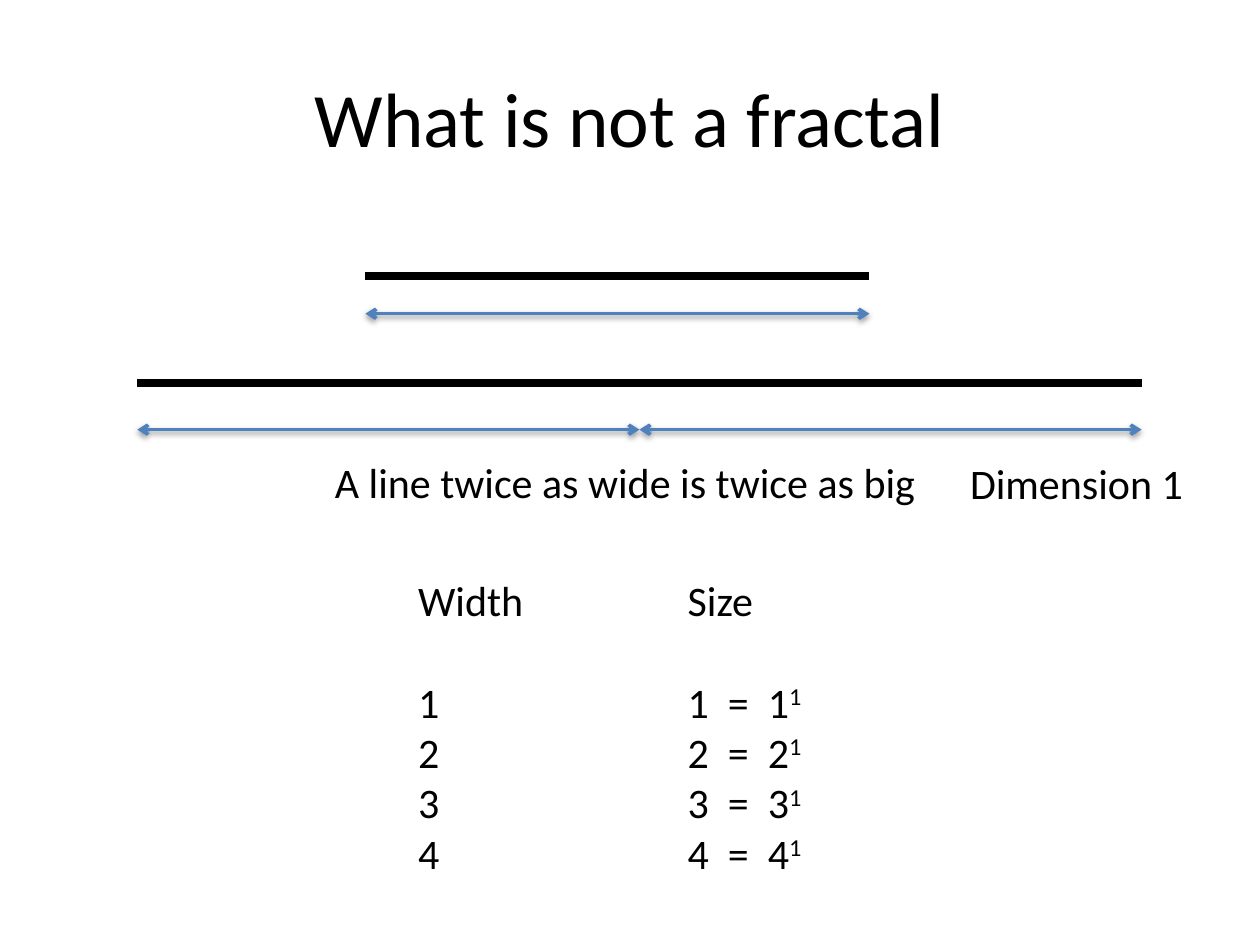
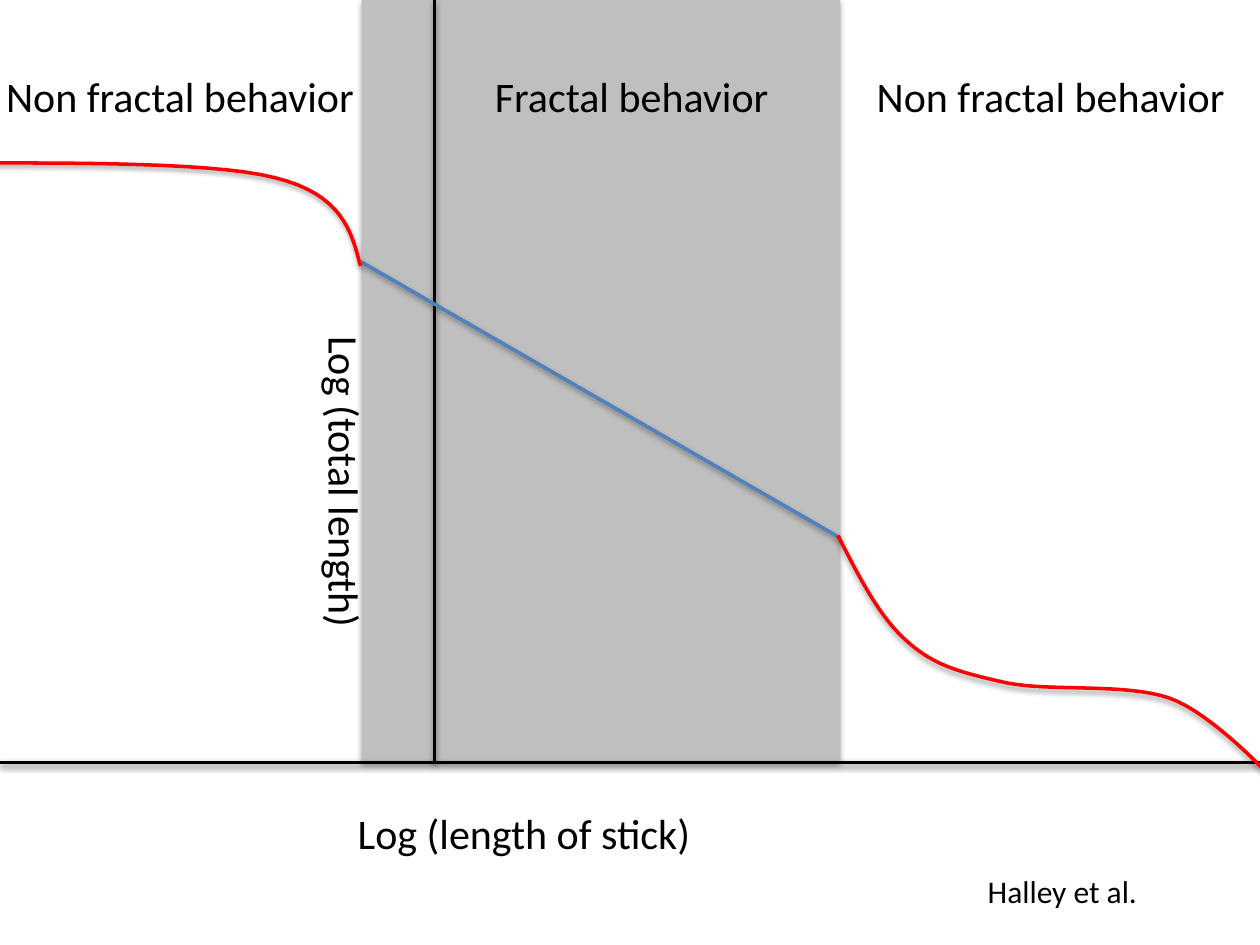
from lxml import etree
from pptx import Presentation
from pptx.dml.color import RGBColor
from pptx.enum import shapes, text
from pptx.oxml import ns
from pptx.util import Inches, Pt

BLACK = RGBColor(0x00, 0x00, 0x00)
BLUE = RGBColor(0x4F, 0x81, 0xBD)
RED = RGBColor(0xFF, 0x00, 0x00)
GREY = RGBColor(0xBF, 0xBF, 0xBF)
FONT = "Calibri"
BODY = 24
LEAD = 29.3  # height of one line of body text, in points


# Shared parts

def shade(shape, alpha=38, dist=1.6):
    """Give the shape a soft shadow below, or none if alpha is 0."""
    props = shape._element.spPr
    for old in props.findall(ns.qn("a:effectLst")):
        props.remove(old)
    effect = etree.SubElement(props, ns.qn("a:effectLst"))
    if alpha:
        cast = etree.SubElement(effect, ns.qn("a:outerShdw"), blurRad=str(Pt(3.1)),
                                dist=str(Pt(dist)), dir="5400000", rotWithShape="0")
        tint = etree.SubElement(cast, ns.qn("a:srgbClr"), val=str(BLACK))
        etree.SubElement(tint, ns.qn("a:alpha"), val=str(alpha * 1000))


def stroke(shape, color, width):
    shape.line.color.rgb = color
    shape.line.width = Pt(width)


def rule(slide, start, end, color=BLACK, width=2, alpha=38, arrows=False):
    line = slide.shapes.add_connector(shapes.MSO_CONNECTOR.STRAIGHT,
                                      *map(Inches, start + end))
    stroke(line, color, width)
    if arrows:
        pen = line._element.spPr.find(ns.qn("a:ln"))
        for tag in ("a:headEnd", "a:tailEnd"):
            etree.SubElement(pen, ns.qn(tag), type="arrow")
    shade(line, alpha)


def style(para, size=BODY):
    para.font.name = FONT
    para.font.size = Pt(size)
    para.font.color.rgb = BLACK


def label(slide, box, words, size=BODY, turn=0):
    shape = slide.shapes.add_textbox(*map(Inches, box))
    shape.rotation = turn
    frame = shape.text_frame
    frame.word_wrap = True
    frame.text = words
    style(frame.paragraphs[0], size)
    return frame


def curve(slide, start, arcs, color):
    """Draw cubic arcs, each given as two handles and an end point."""
    steps = 16
    build = slide.shapes.build_freeform(*map(Inches, start))
    points = []
    for one, two, end in arcs:
        for i in range(1, steps + 1):
            t = i / steps
            u = 1 - t
            points.append(tuple(
                Inches(u**3 * a + 3 * u * u * t * b + 3 * u * t * t * c + t**3 * d)
                for a, b, c, d in zip(start, one, two, end)))
        start = end
    build.add_line_segments(points, close=False)
    shape = build.convert_to_shape()
    shape.fill.background()
    stroke(shape, color, 2)
    shade(shape)


# Slide 1: lines and their sizes

def title(slide, box, words):
    head = slide.shapes.title
    head.left, head.top, head.width, head.height = map(Inches, box)
    frame = head.text_frame
    frame.text = words
    frame.vertical_anchor = text.MSO_ANCHOR.MIDDLE
    para = frame.paragraphs[0]
    para.alignment = text.PP_ALIGN.CENTER
    style(para, 44)


def measure(slide, left, top, width, drop, units):
    """Draw a thick line with one arrow below it for each unit."""
    rule(slide, (left, top), (left + width, top), width=5, alpha=0)
    step = width / units
    for i in range(units):
        rule(slide, (left + i * step, top + drop),
             (left + (i + 1) * step, top + drop), BLUE, arrows=True)


def column(slide, box, head, rows, power=None):
    """List the rows under a heading, with a raised power if given."""
    frame = label(slide, box, head)
    for i, row in enumerate(rows):
        para = frame.add_paragraph()
        para.add_run().text = row
        if power:
            run = para.add_run()
            run.text = power
            run._r.get_or_add_rPr().set("baseline", "30000")
        style(para)
        if i == 0:
            para.space_before = Pt(LEAD)


def lines(deck):
    slide = deck.slides.add_slide(deck.slide_layouts[5])
    title(slide, (0.5, 0.3, 9, 1.25), "What is not a fractal")
    measure(slide, 2.9, 2.19, 4, 0.3, 1)
    measure(slide, 1.09, 3.04, 7.97, 0.37, 2)
    label(slide, (2.56, 3.57, 4.86, 0.81), "A line twice as wide is twice as big")
    label(slide, (7.6, 3.58, 2.08, 0.5), "Dimension 1")
    sizes = range(1, 5)
    column(slide, (3.22, 4.51, 1.53, 2.52), "Width", [str(n) for n in sizes])
    column(slide, (5.36, 4.51, 1.53, 2.93), "Size",
           [f"{n}  =  {n}" for n in sizes], "1")


# Slide 2: total length against stick length

def plot(slide, left, top, width, height):
    def at(x, y):
        return left + x, top + y

    # Fractal range
    band = slide.shapes.add_shape(shapes.MSO_SHAPE.RECTANGLE,
                                  *map(Inches, at(2.87, 0) + (3.8, height)))
    band.fill.solid()
    band.fill.fore_color.rgb = GREY
    band.line.fill.background()
    shade(band, 35, 1.8)

    # Axes
    rule(slide, at(0, height), at(width, height))
    rule(slide, at(3.45, height), at(3.45, 0))

    # Straight part and curved ends
    rule(slide, at(2.87, 2.08), at(6.67, 4.27), BLUE)
    curve(slide, at(2.86, 2.11), [
        (at(2.79, 1.83), at(2.71, 1.54), at(2.18, 1.41)),
        (at(1.65, 1.27), at(0.2, 1.3), at(-0.33, 1.29))], RED)
    curve(slide, at(6.65, 4.25), [
        (at(6.82, 4.58), at(6.98, 4.9), at(7.2, 5.09)),
        (at(7.42, 5.29), at(7.64, 5.34), at(7.99, 5.42)),
        (at(8.34, 5.49), at(8.93, 5.42), at(9.28, 5.54)),
        (at(9.62, 5.66), at(10.08, 6.16), at(10.08, 6.16))], RED)

    # Names of the ranges
    for x, wide, words in ((-0.05, 3.14, "Non fractal behavior"),
                           (3.83, 2.47, "Fractal behavior"),
                           (6.86, 3.14, "Non fractal behavior")):
        label(slide, at(x, 0.51) + (wide, 0.5), words)

    # Names of the axes
    label(slide, at(2.74, height + 0.31) + (5.42, 0.5), "Log (length of stick)")
    label(slide, at(1.28, 3.78) + (2.92, 0.5), "Log (total length)", turn=90)


def graph(deck):
    slide = deck.slides.add_slide(deck.slide_layouts[6])
    plot(slide, 0, 0, 10, 6.05)
    label(slide, (7.74, 6.87, 2.35, 0.4), "Halley et al.", 18)


def main():
    deck = Presentation()
    deck.slide_width, deck.slide_height = Inches(10), Inches(7.5)
    lines(deck)
    graph(deck)
    deck.save("out.pptx")


if __name__ == "__main__":
    main()
